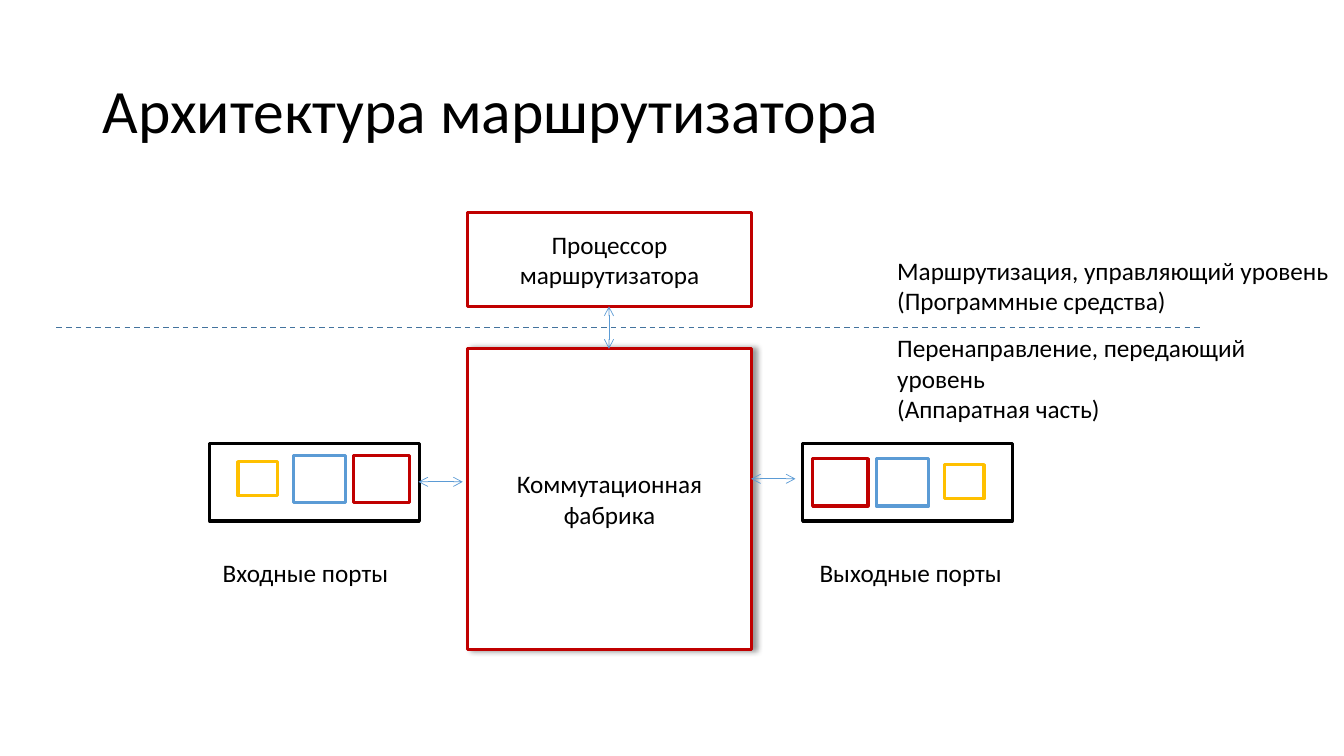
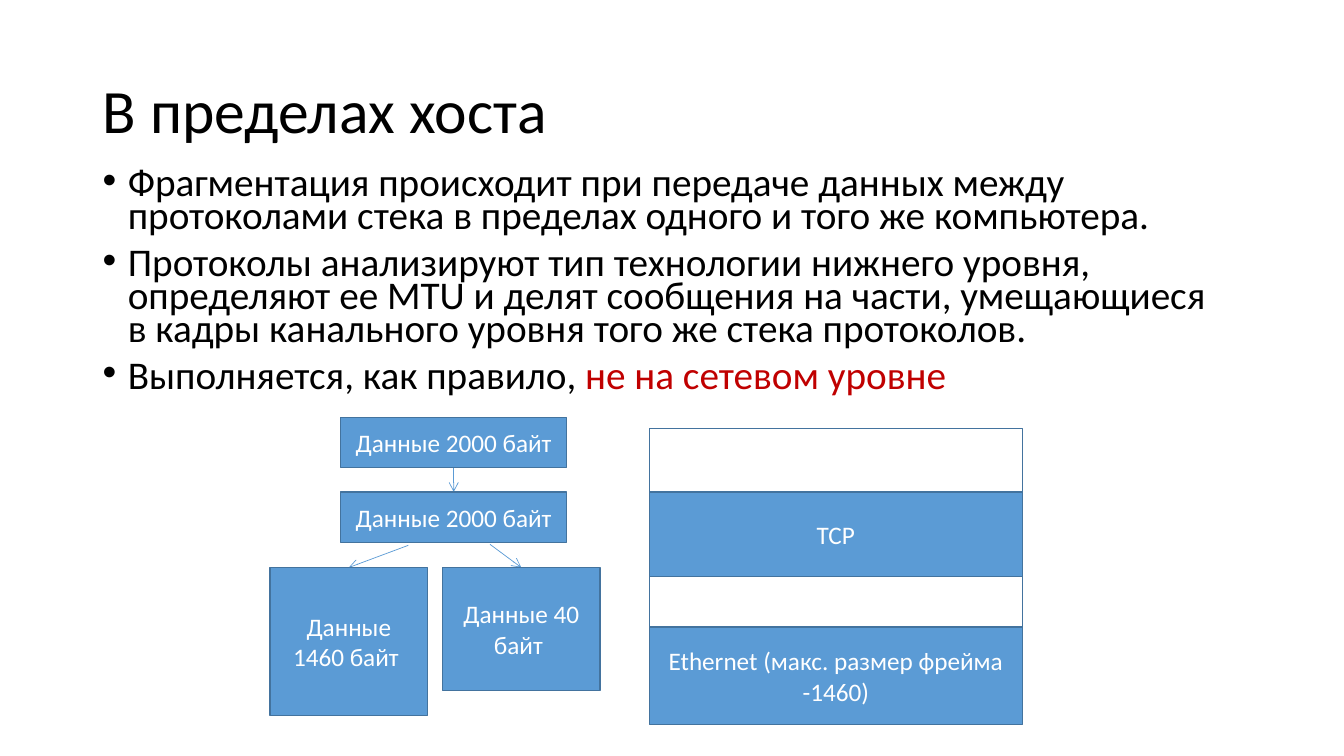
from lxml import etree
from pptx import Presentation
from pptx.dml.color import RGBColor
from pptx.enum.dml import MSO_LINE
from pptx.enum.shapes import MSO_CONNECTOR, MSO_SHAPE
from pptx.enum.text import MSO_ANCHOR, MSO_AUTO_SIZE, PP_ALIGN
from pptx.oxml import parse_xml
from pptx.oxml.ns import nsdecls, qn
from pptx.util import Inches, Pt

FONT = "Calibri"
BLACK = RGBColor(0x00, 0x00, 0x00)
WHITE = RGBColor(0xFF, 0xFF, 0xFF)
RED = RGBColor(0xC0, 0x00, 0x00)
BLUE = RGBColor(0x5B, 0x9B, 0xD5)
DARK_BLUE = RGBColor(0x43, 0x73, 0x9E)
YELLOW = RGBColor(0xFF, 0xC0, 0x00)


def add_box(slide, left, top, width, height, outline, weight, fill=None, text="", color=BLACK):
    shape = slide.shapes.add_shape(
        MSO_SHAPE.RECTANGLE, Inches(left), Inches(top), Inches(width), Inches(height))
    shape.shadow.inherit = False
    shape.line.color.rgb = outline
    shape.line.width = Pt(weight)
    if fill is None:
        shape.fill.background()
    else:
        shape.fill.solid()
        shape.fill.fore_color.rgb = fill
    if text:
        frame = shape.text_frame
        frame.word_wrap = True
        frame.vertical_anchor = MSO_ANCHOR.MIDDLE
        paragraph = frame.paragraphs[0]
        paragraph.text = text
        paragraph.alignment = PP_ALIGN.CENTER
        paragraph.font.name = FONT
        paragraph.font.size = Pt(18)
        paragraph.font.color.rgb = color
    return shape


def add_line(slide, x1, y1, x2, y2, color=BLUE, weight=0.5, ends=()):
    connector = slide.shapes.add_connector(
        MSO_CONNECTOR.STRAIGHT, Inches(x1), Inches(y1), Inches(x2), Inches(y2))
    connector.line.color.rgb = color
    connector.line.width = Pt(weight)
    for end in ends:
        etree.SubElement(connector.line._get_or_add_ln(), qn(f"a:{end}"), type="arrow")
    etree.SubElement(connector._element.spPr, qn("a:effectLst"))
    return connector


presentation = Presentation()
presentation.slide_width = Inches(13.33)
presentation.slide_height = Inches(7.5)

# Slides with their titles
slides = []
for title in ("Архитектура маршрутизатора", "В пределах хоста"):
    slide = presentation.slides.add_slide(presentation.slide_layouts[6])
    frame = slide.shapes.add_textbox(
        Inches(0.92), Inches(0.4), Inches(11.5), Inches(1.45)).text_frame
    frame.word_wrap = True
    frame.vertical_anchor = MSO_ANCHOR.MIDDLE
    paragraph = frame.paragraphs[0]
    paragraph.text = title
    paragraph.line_spacing = 0.9
    paragraph.font.name = FONT
    paragraph.font.size = Pt(44)
    paragraph.font.color.rgb = BLACK
    slides.append(slide)
router_slide, host_slide = slides

# Router: switching fabric with its shadow, and processor
BOTH_ENDS = ("headEnd", "tailEnd")
fabric = add_box(router_slide, 4.64, 3.46, 2.81, 2.98, RED, 2.25, WHITE, "Коммутационная фабрика")
fabric._element.spPr.find(qn("a:effectLst")).append(parse_xml(
    f'<a:outerShdw {nsdecls("a")} blurRad="{Pt(4)}" dist="{Pt(3)}" dir="0" algn="l" rotWithShape="0">'
    '<a:srgbClr val="000000"><a:alpha val="40000"/></a:srgbClr></a:outerShdw>'))
add_box(router_slide, 4.64, 2.11, 2.81, 0.93, RED, 2.25, WHITE, "Процессор маршрутизатора")
add_line(router_slide, 6.04, 3.04, 6.04, 3.46, ends=BOTH_ENDS)

# Router: border between the levels
border = add_line(router_slide, 0.56, 3.25, 11.92, 3.25, DARK_BLUE, 1)
border.line.dash_style = MSO_LINE.DASH

# Router: labels
labels = [
    (8.8, 2.48, 4.48, 0.71, False, ["Маршрутизация, управляющий уровень", "(Программные средства)"]),
    (8.8, 3.25, 4.58, 0.71, False, ["Перенаправление, передающий уровень", "(Аппаратная часть)"]),
    (2.11, 5.48, 2.11, 0.4, True, ["Входные порты"]),
    (8.03, 5.48, 2.11, 0.4, True, ["Выходные порты"]),
]
for left, top, width, height, wrap, lines in labels:
    frame = router_slide.shapes.add_textbox(
        Inches(left), Inches(top), Inches(width), Inches(height)).text_frame
    frame.word_wrap = wrap
    frame.auto_size = MSO_AUTO_SIZE.SHAPE_TO_FIT_TEXT
    frame.text = "\n".join(lines)
    for paragraph in frame.paragraphs:
        paragraph.font.name = FONT
        paragraph.font.size = Pt(18)
        paragraph.font.color.rgb = BLACK

# Router: ports, mirrored around the fabric
PORT_WIDTH = 2.08
# gap from the side facing the fabric, drop from the port top, width, height
buffers = [(0.1, 0.12, 0.55, 0.47, RED), (0.73, 0.12, 0.52, 0.47, BLUE),
           (1.41, 0.18, 0.39, 0.34, YELLOW)]
for port_left, is_input, shift in ((2.08, True, 0), (7.96, False, 0.03)):
    add_box(router_slide, port_left, 4.4, PORT_WIDTH, 0.77, BLACK, 2.25, WHITE)
    for gap, drop, width, height, color in buffers:
        offset = PORT_WIDTH - gap - width if is_input else gap
        add_box(router_slide, port_left + offset, 4.4 + drop + shift, width, height,
                color, 2.25, WHITE)
for left, y in ((4.15, 4.78), (7.45, 4.75)):
    add_line(router_slide, left, y, left + 0.44, y, ends=BOTH_ENDS)

# Host: bullets
bullets = [
    [("Фрагментация происходит при передаче данных между протоколами стека "
      "в пределах одного и того же компьютера.", BLACK)],
    [("Протоколы анализируют тип технологии нижнего уровня, определяют ее MTU и делят "
      "сообщения на части, умещающиеся в кадры канального уровня того же стека протоколов.", BLACK)],
    [("Выполняется, как правило, ", BLACK), ("не на сетевом уровне", RED)],
]
frame = host_slide.shapes.add_textbox(
    Inches(0.92), Inches(1.64), Inches(11.3), Inches(2.61)).text_frame
frame.word_wrap = True
for index, parts in enumerate(bullets):
    paragraph = frame.add_paragraph() if index else frame.paragraphs[0]
    paragraph.line_spacing = 0.7
    paragraph.space_before = Pt(10)
    paragraph.font.name = FONT
    paragraph.font.size = Pt(28)
    for text, color in parts:
        run = paragraph.add_run()
        run.text = text
        run.font.color.rgb = color
    properties = paragraph._p.get_or_add_pPr()
    properties.set("marL", str(Inches(0.25)))
    properties.set("indent", str(-Inches(0.25)))
    bullet_font = parse_xml(f'<a:buFont {nsdecls("a")} typeface="Arial"/>')
    bullet_char = parse_xml(f'<a:buChar {nsdecls("a")} char="•"/>')
    properties.find(qn("a:spcBef")).addnext(bullet_font)
    bullet_font.addnext(bullet_char)

# Host: protocol stack
top = 4.25
for height, text in ((0.63, ""), (0.84, "TCP"), (0.5, ""),
                     (0.97, "Ethernet (макс. размер фрейма -1460)")):
    add_box(host_slide, 6.44, top, 3.7, height, DARK_BLUE, 1, BLUE if text else None, text, WHITE)
    top += height

# Host: data blocks and the arrows between them
arrows = [(4.05, 5.41, 3.46, 5.63), (4.86, 5.4, 5.17, 5.63), (4.5, 4.56, 4.5, 4.88)]
for arrow in arrows:
    add_line(host_slide, *arrow, ends=("tailEnd",))
data_blocks = [
    (3.38, 4.14, 2.24, 0.5, "Данные 2000 байт"),
    (3.38, 4.88, 2.24, 0.5, "Данные 2000 байт"),
    (2.68, 5.63, 1.56, 1.47, "Данные 1460 байт "),
    (4.39, 5.63, 1.56, 1.22, "Данные 40 байт "),
]
for left, top, width, height, text in data_blocks:
    add_box(host_slide, left, top, width, height, DARK_BLUE, 1, BLUE, text, WHITE)

presentation.save("out.pptx")
